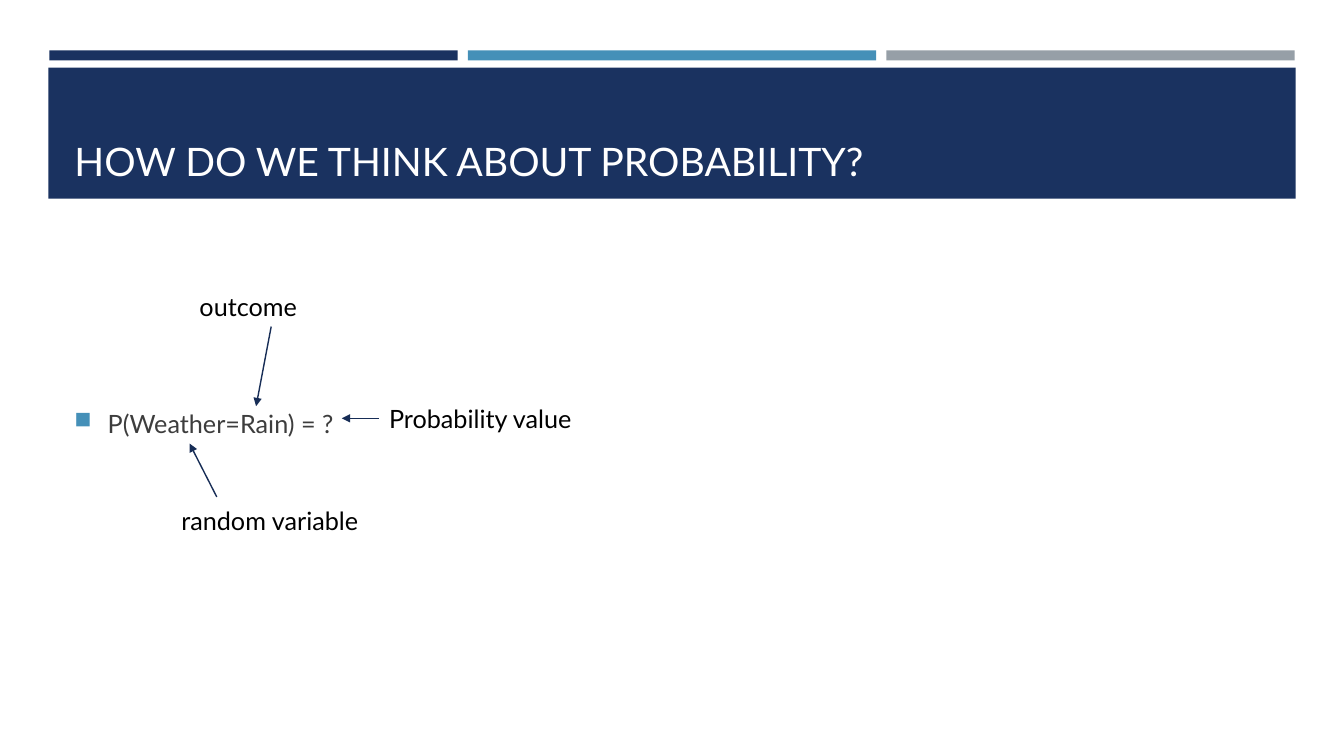
from dataclasses import dataclass

from lxml import etree
from pptx import Presentation
from pptx.dml.color import RGBColor
from pptx.enum.shapes import MSO_CONNECTOR, MSO_SHAPE
from pptx.enum.text import MSO_ANCHOR
from pptx.oxml.ns import qn
from pptx.util import Inches, Pt

RECT = MSO_SHAPE.RECTANGLE
STRAIGHT = MSO_CONNECTOR.STRAIGHT
TOP, MIDDLE, BOTTOM = MSO_ANCHOR.TOP, MSO_ANCHOR.MIDDLE, MSO_ANCHOR.BOTTOM
LEFT_SIDE = 1


@dataclass(frozen=True)
class Theme:
    font: str = "Lato"
    navy: str = "1A3260"
    blue: str = "4590B8"
    gray: str = "969FA7"
    arrow: str = "172D56"
    white: str = "FFFFFF"
    body: str = "3D3D3D"
    label: str = "000000"
    title_size: int = 28
    text_size: int = 18
    line_width: int = 1


class SlideBuilder:
    def __init__(self, slide, theme):
        self.s = slide
        self.theme = theme

    def bar(self, x, y, w, h, color):
        sp = self.s.shapes.add_shape(RECT, Inches(x), Inches(y), Inches(w), Inches(h))
        sp.shadow.inherit = False
        sp.fill.solid()
        sp.fill.fore_color.rgb = RGBColor.from_string(color)
        sp.line.fill.background()

    def text(self, x, y, w, h, words, size, color, anchor=TOP):
        sp = self.s.shapes.add_textbox(Inches(x), Inches(y), Inches(w), Inches(h))
        tf = sp.text_frame
        tf.word_wrap = True
        tf.vertical_anchor = anchor
        r = tf.paragraphs[0].add_run()
        r.text = words
        r.font.name = self.theme.font
        r.font.size = Pt(size)
        r.font.color.rgb = RGBColor.from_string(color)
        return sp

    def label(self, x, y, words):
        return self.text(x, y, 2.62, 0.4, words, self.theme.text_size, self.theme.label)

    def bullet(self, x, y, w, h, words):
        sp = self.text(x, y, w, h, words, self.theme.text_size, self.theme.body, MIDDLE)
        pPr = sp.text_frame.paragraphs[0]._p.get_or_add_pPr()
        indent = Inches(0.33)
        pPr.set("marL", str(indent))
        pPr.set("indent", str(-indent))
        buClr = etree.SubElement(pPr, qn("a:buClr"))
        etree.SubElement(buClr, qn("a:srgbClr"), val=self.theme.blue)
        etree.SubElement(pPr, qn("a:buSzPct"), val="92000")
        etree.SubElement(pPr, qn("a:buChar"), char="■")

    def arrow(self, x1, y1, x2, y2, source=None):
        cx = self.s.shapes.add_connector(
            STRAIGHT, Inches(x1), Inches(y1), Inches(x2), Inches(y2)
        )
        if source is not None:
            cx.begin_connect(source, LEFT_SIDE)
        cx.line.color.rgb = RGBColor.from_string(self.theme.arrow)
        cx.line.width = Pt(self.theme.line_width)
        etree.SubElement(cx.line._get_or_add_ln(), qn("a:tailEnd"), type="triangle")
        etree.SubElement(cx._element.spPr, qn("a:effectLst"))


def main():
    prs = Presentation()
    prs.slide_width, prs.slide_height = Inches(13.33), Inches(7.5)
    theme = Theme()
    slide = SlideBuilder(prs.slides.add_slide(prs.slide_layouts[6]), theme)

    for i, color in enumerate((theme.navy, theme.blue, theme.gray)):
        slide.bar(0.49 + i * 4.15, 0.5, 4.05, 0.1, color)
    slide.bar(0.48, 0.67, 12.37, 1.3, theme.navy)
    slide.text(0.64, 0.77, 12.06, 1.11, "HOW DO WE THINK ABOUT PROBABILITY?",
               theme.title_size, theme.white, BOTTOM)

    slide.bullet(0.64, 2.38, 12.06, 3.64, "P(Weather=Rain) = ?")

    slide.label(1.7, 4.96, "random variable")
    slide.arrow(2.15, 4.93, 1.88, 4.4)
    slide.label(1.88, 2.84, "outcome")
    slide.arrow(2.69, 3.24, 2.54, 4.03)
    value = slide.label(3.76, 3.95, "Probability value")
    slide.arrow(3.76, 4.15, 3.39, 4.15, value)

    prs.save("out.pptx")


if __name__ == "__main__":
    main()
